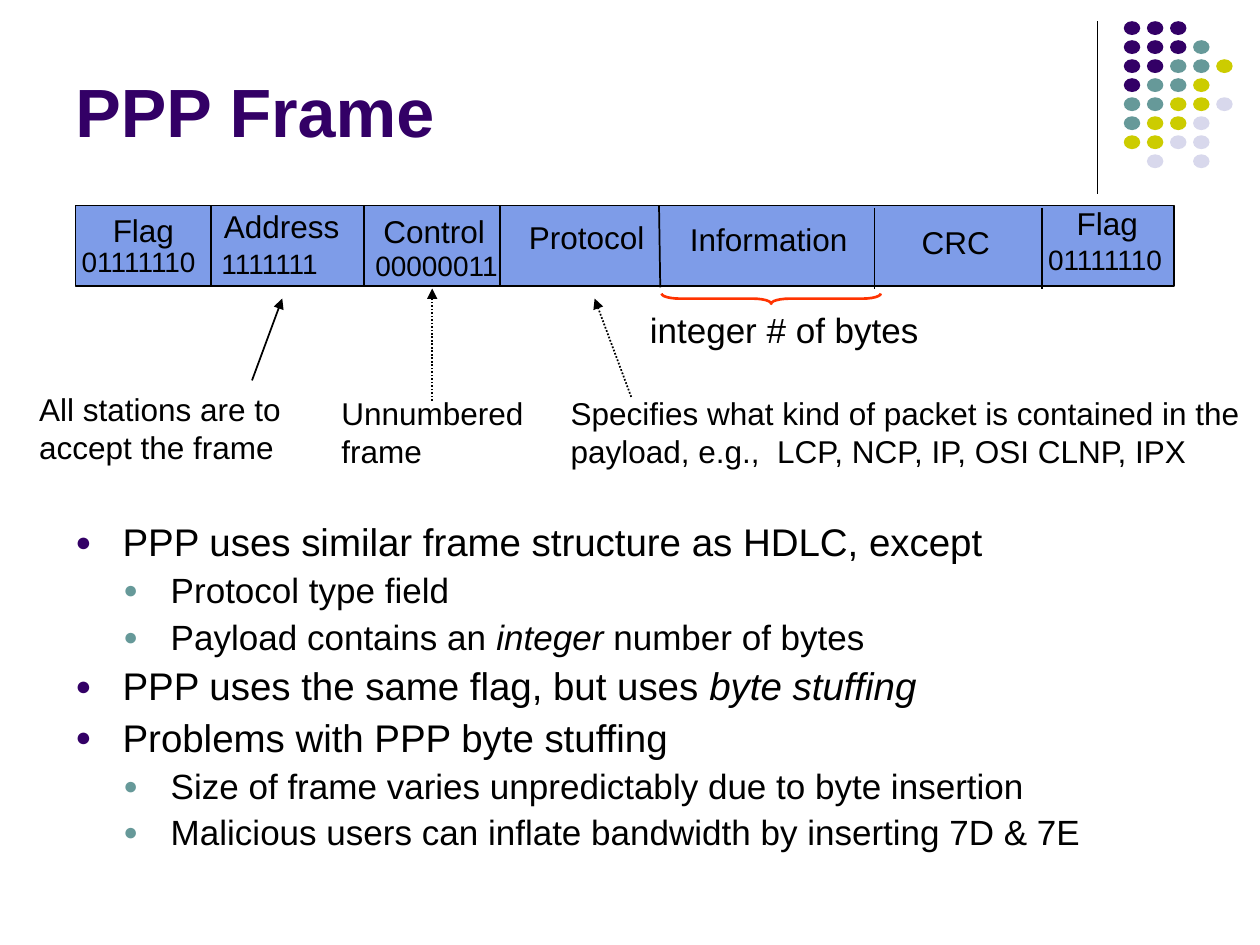
"""Build a slide that explains the fields of a PPP frame."""
from typing import NamedTuple, Optional

from lxml.etree import SubElement
from pptx import Presentation
from pptx.dml.color import RGBColor
from pptx.enum.dml import MSO_LINE
from pptx.enum.shapes import MSO_CONNECTOR, MSO_SHAPE
from pptx.enum.text import MSO_ANCHOR, MSO_AUTO_SIZE, PP_ALIGN
from pptx.oxml.ns import qn
from pptx.util import Pt

FONT = "Arial"
BLACK = RGBColor(0x00, 0x00, 0x00)
PURPLE = RGBColor(0x33, 0x00, 0x66)
TEAL = RGBColor(0x66, 0x99, 0x99)
OLIVE = RGBColor(0xCC, 0xCC, 0x00)
LAVENDER = RGBColor(0xD8, 0xD8, 0xEC)
FRAME_BLUE = RGBColor(0x7E, 0x9C, 0xE8)
BRACE_RED = RGBColor(0xFF, 0x33, 0x00)

DOT_COLORS = {"P": PURPLE, "T": TEAL, "O": OLIVE, "L": LAVENDER}
DOT_ROWS = ["PPP", "PPPT", "PPTTO", "PTTO", "TTOOL", "TOOL", "OOLL", " L L"]
DOT_LEFT, DOT_TOP, DOT_PITCH_X, DOT_PITCH_Y = 642.2, 12.1, 13.2, 10.87
DOT_WIDTH, DOT_HEIGHT = 9.4, 7.9


class Label(NamedTuple):
    text: str
    left: float
    top: float
    width: float
    height: float = 28.8
    size: float = 18
    wrap: bool = False
    align: PP_ALIGN = PP_ALIGN.LEFT
    color: RGBColor = BLACK
    bold: Optional[bool] = None
    anchor: MSO_ANCHOR = MSO_ANCHOR.TOP


class Line(NamedTuple):
    start_x: float
    start_y: float
    end_x: float
    end_y: float
    width: float = 1
    arrow: bool = False
    dotted: bool = False


class Bullet(NamedTuple):
    level: int
    text: str
    italic: str = ""
    rest: str = ""


class BulletStyle(NamedTuple):
    size: float
    indent: float
    space_before: float
    color: RGBColor


LABELS = [
    Label("PPP Frame", 36, 9.4, 594, 80.6, 39, True, color=PURPLE, bold=True,
          anchor=MSO_ANCHOR.BOTTOM),
    Label("Flag", 57.4, 117, 50),
    Label("Flag", 608.2, 113, 50),
    Label("Address", 120.8, 114.8, 81),
    Label("Control", 212, 117.6, 73),
    Label("Protocol", 295.2, 121, 81),
    Label("Information", 387.2, 122.4, 105),
    Label("CRC", 519.6, 123.8, 54),
    Label("01111110", 39.6, 136.4, 85, 26, 16),
    Label("01111110", 591.8, 135, 85, 26, 16),
    Label("1111111", 119.5, 137.2, 76.3, 26, 16),
    Label("00000011", 207.4, 138.6, 85, 26, 16),
    Label("Unnumbered frame", 188, 221.8, 127.4, 50.4, wrap=True),
    Label("Specifies what kind of packet is contained in the payload, e.g.,  "
          "LCP, NCP, IP, OSI CLNP, IPX", 319, 221.6, 401, 50.4, wrap=True),
    Label("All stations are to\naccept the frame", 15.3, 219.2, 152.8, 50.4),
    Label("integer # of bytes", 363.2, 172.8, 170, 31.7, 20,
          align=PP_ALIGN.CENTER),
]

LINES = [
    Line(627.1, 12.2, 627.1, 110.9, 0.75),
    *(Line(x, 117.4, x, 163.4) for x in (120.4, 208.1, 285.8)),
    Line(376.6, 117.4, 377.3, 164.2),
    *(Line(x, 118.8, x, 164.9) for x in (499.8, 595.4)),
    Line(144, 217.4, 161.3, 170.6, arrow=True),
    Line(247, 229, 247, 164.9, arrow=True, dotted=True),
    Line(360.7, 226.8, 339.8, 170.6, arrow=True, dotted=True),
]

BULLET_STYLES = [BulletStyle(22, 27, 5.5, PURPLE), BulletStyle(20, 54.5, 5, TEAL)]
BULLETS = [
    Bullet(0, "PPP uses similar frame structure as HDLC, except"),
    Bullet(1, "Protocol type field"),
    Bullet(1, "Payload contains an ", "integer", " number of bytes"),
    Bullet(0, "PPP uses the same flag, but uses ", "byte stuffing"),
    Bullet(0, "Problems with PPP byte stuffing"),
    Bullet(1, "Size of frame varies unpredictably due to byte insertion"),
    Bullet(1, "Malicious users can inflate bandwidth by inserting 7D & 7E"),
]


def add_filled(slide, kind, left: float, top: float, width: float,
               height: float, color: RGBColor):
    """Add a flat preset shape without an outline."""
    shape = slide.shapes.add_shape(kind, Pt(left), Pt(top), Pt(width), Pt(height))
    shape.shadow.inherit = False
    shape.fill.solid()
    shape.fill.fore_color.rgb = color
    shape.line.fill.background()
    return shape


def add_dots(slide) -> None:
    """Add the corner grid of coloured dots."""
    for row, codes in enumerate(DOT_ROWS):
        for column, code in enumerate(codes):
            if code in DOT_COLORS:
                add_filled(slide, MSO_SHAPE.OVAL, DOT_LEFT + column * DOT_PITCH_X,
                           DOT_TOP + row * DOT_PITCH_Y, DOT_WIDTH, DOT_HEIGHT,
                           DOT_COLORS[code])


def add_line(slide, line: Line) -> None:
    """Add a straight black line, with an arrowhead if asked."""
    connector = slide.shapes.add_connector(
        MSO_CONNECTOR.STRAIGHT, Pt(line.start_x), Pt(line.start_y),
        Pt(line.end_x), Pt(line.end_y))
    connector.line.color.rgb = BLACK
    connector.line.width = Pt(line.width)
    if line.dotted:
        connector.line.dash_style = MSO_LINE.ROUND_DOT
    properties = connector.element.spPr
    if line.arrow:
        SubElement(properties.find(qn("a:ln")), qn("a:tailEnd"), type="triangle")
    SubElement(properties, qn("a:effectLst"))


def add_label(slide, label: Label) -> None:
    """Add a text box with one paragraph per line of text."""
    frame = slide.shapes.add_textbox(Pt(label.left), Pt(label.top), Pt(label.width),
                                     Pt(label.height)).text_frame
    frame.word_wrap = label.wrap
    if not label.wrap:
        frame.auto_size = MSO_AUTO_SIZE.SHAPE_TO_FIT_TEXT
    frame.vertical_anchor = label.anchor
    frame.text = label.text
    for paragraph in frame.paragraphs:
        paragraph.alignment = label.align
        paragraph.font.name = FONT
        paragraph.font.size = Pt(label.size)
        paragraph.font.bold = label.bold
        paragraph.font.color.rgb = label.color


def add_bullets(slide) -> None:
    """Add the two-level bullet list."""
    frame = slide.shapes.add_textbox(Pt(36), Pt(295.5), Pt(648), Pt(205.2)).text_frame
    frame.word_wrap = True
    for index, bullet in enumerate(BULLETS):
        style = BULLET_STYLES[bullet.level]
        paragraph = frame.add_paragraph() if index else frame.paragraphs[0]
        paragraph.level = bullet.level
        paragraph.line_spacing = 0.9
        paragraph.space_before = Pt(style.space_before if index else 0)
        properties = paragraph._p.get_or_add_pPr()
        properties.set("marL", str(Pt(style.indent)))
        properties.set("indent", str(-Pt(27)))
        color = SubElement(properties, qn("a:buClr"))
        SubElement(color, qn("a:srgbClr"), val=str(style.color))
        SubElement(properties, qn("a:buSzPct"), val="70000")
        SubElement(properties, qn("a:buFont"), typeface=FONT)
        SubElement(properties, qn("a:buChar"), char="●")
        paragraph.font.name = FONT
        paragraph.font.size = Pt(style.size)
        paragraph.font.color.rgb = BLACK
        for text in filter(None, bullet[1:]):
            run = paragraph.add_run()
            run.text = text
            if text == bullet.italic:
                run.font.italic = True


def add_brace(slide) -> None:
    """Add the red brace below the information field."""
    brace = slide.shapes.add_shape(MSO_SHAPE.LEFT_BRACE, Pt(437.8), Pt(108),
                                   Pt(5.8), Pt(125.3))
    brace.rotation = 270
    brace.adjustments[0] = 1.8
    brace.shadow.inherit = False
    brace.fill.background()
    brace.line.color.rgb = BRACE_RED
    brace.line.width = Pt(1.5)


def main() -> None:
    """Create the presentation and save it."""
    presentation = Presentation()
    presentation.slide_width, presentation.slide_height = Pt(720), Pt(540)
    slide = presentation.slides.add_slide(presentation.slide_layouts[6])
    add_dots(slide)
    frame_bar = add_filled(slide, MSO_SHAPE.RECTANGLE, 43.2, 117.4, 627.8, 46,
                           FRAME_BLUE)
    frame_bar.line.color.rgb = BLACK
    frame_bar.line.width = Pt(1)
    for line in LINES:
        add_line(slide, line)
    for label in LABELS:
        add_label(slide, label)
    add_brace(slide)
    add_bullets(slide)
    presentation.save("out.pptx")


if __name__ == "__main__":
    main()
